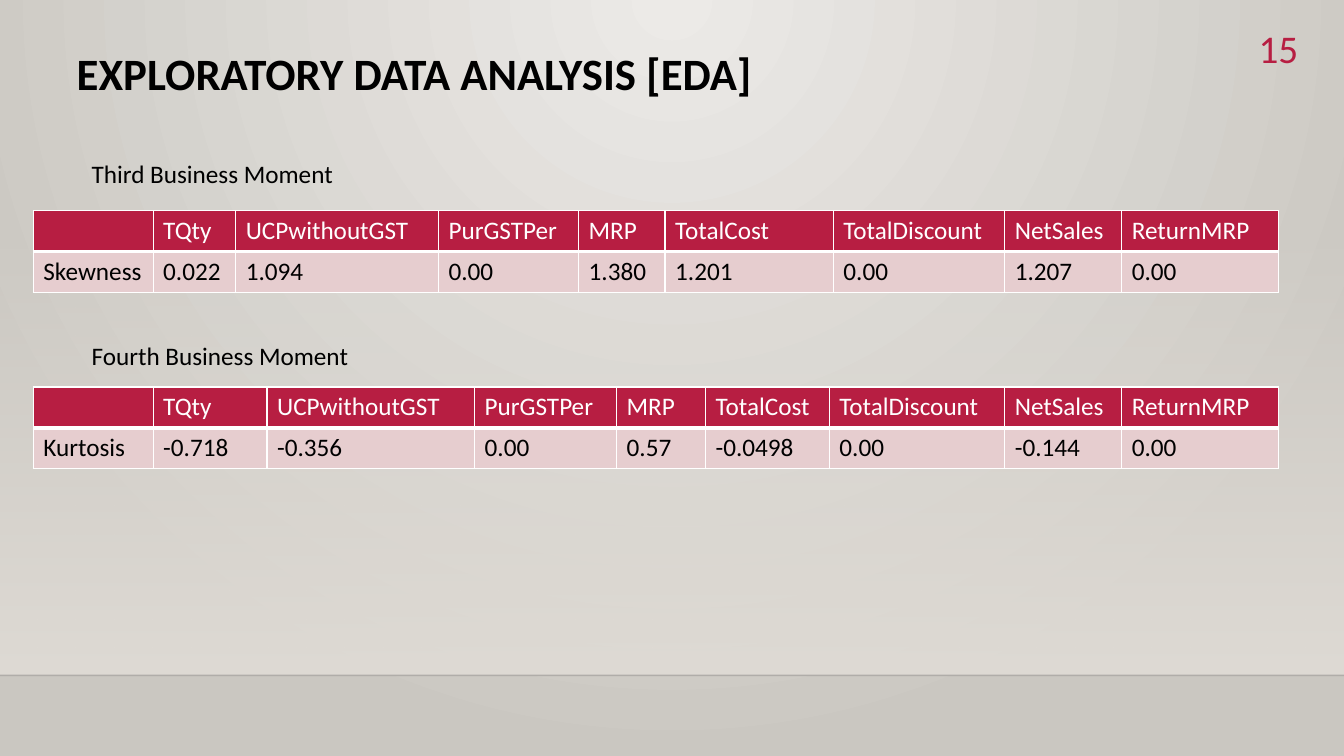
import pptx
import pptx.util
import pptx.dml.color
import pptx.enum.shapes
import pptx.enum.text
import pptx.oxml
import pptx.oxml.ns
from pptx.util import Cm

qn = pptx.oxml.ns.qn
NS = pptx.oxml.ns.nsdecls("a")


def rgb(value):
    return pptx.dml.color.RGBColor.from_string(value)


def add_run(p, text, size, color, bold=False):
    r = p.add_run()
    r.text = text
    r.font.name = "Calibri"
    r.font.size = pptx.util.Pt(size)
    r.font.bold = bold
    r.font.color.rgb = rgb(color)


prs = pptx.Presentation()
prs.slide_width, prs.slide_height = Cm(33.87), Cm(19.05)
s = prs.slides.add_slide(prs.slide_layouts[5])

# Background: light glow from the top centre
fill = s.background.fill
fill.gradient()
for stop, color in zip(fill.gradient_stops, ("ECEAE7", "CAC7C1")):
    stop.color.rgb = rgb(color)
grad = s.background._cSld.find(".//" + qn("a:gradFill"))
grad.replace(grad.find(qn("a:lin")), pptx.oxml.parse_xml(
    f'<a:path {NS} path="circle">'
    '<a:fillToRect l="43000" t="0" r="43000" b="100000"/></a:path>'))

# Wall panel fading in towards the floor
sp = s.shapes.add_shape(pptx.enum.shapes.MSO_SHAPE.RECTANGLE,
                        0, Cm(5.61), prs.slide_width, Cm(11.41))
sp.shadow.inherit = False
sp.line.fill.background()
sp.fill.gradient()
sp.fill.gradient_angle = 270
for stop in sp.fill.gradient_stops:
    stop.color.rgb = rgb("DFDBD5")
first_color = sp._element.spPr.find(".//" + qn("a:srgbClr"))
first_color.append(pptx.oxml.parse_xml(f'<a:alpha {NS} val="0"/>'))

# Floor line
line = s.shapes.add_connector(pptx.enum.shapes.MSO_CONNECTOR.STRAIGHT,
                              0, Cm(17.02), prs.slide_width, Cm(17.02))
line.line.width = pptx.util.Pt(1)
line.line.color.rgb = rgb("000001")
line_color = line._element.spPr.find(".//" + qn("a:srgbClr"))
line_color.append(pptx.oxml.parse_xml(f'<a:alpha {NS} val="20000"/>'))
line._element.spPr.append(pptx.oxml.parse_xml(f"<a:effectLst {NS}/>"))

# Title
title = s.shapes.title
title.left, title.top, title.width, title.height = Cm(1.68), Cm(1.19), Cm(22.89), Cm(2.26)
tf = title.text_frame
tf.vertical_anchor = pptx.enum.text.MSO_ANCHOR.TOP
p = tf.paragraphs[0]
p.alignment = pptx.enum.text.PP_ALIGN.LEFT
p.line_spacing = 0.9
add_run(p, "EXPLORATORY DATA ANALYSIS [EDA]", 32, "000000", bold=True)

# Page number and section labels
right, left = pptx.enum.text.PP_ALIGN.RIGHT, pptx.enum.text.PP_ALIGN.LEFT
for text, x, y, w, h, size, color, align in [
    ("15", 30.71, 0.48, 2.26, 1.4, 28, "B71E42", right),
    ("Third Business Moment", 2.06, 3.86, 12.67, 1.03, 18, "000000", left),
    ("Fourth Business Moment", 2.06, 8.46, 9.27, 1.03, 18, "000000", left),
]:
    tf = s.shapes.add_textbox(Cm(x), Cm(y), Cm(w), Cm(h)).text_frame
    tf.word_wrap = True
    p = tf.paragraphs[0]
    p.alignment = align
    add_run(p, text, size, color)

# Tables: one header row and one row of values each
header = ["", "TQty", "UCPwithoutGST", "PurGSTPer", "MRP", "TotalCost",
          "TotalDiscount", "NetSales", "ReturnMRP"]
tables = [
    (5.31, [3.02, 2.08, 5.11, 3.53, 2.18, 4.24, 4.32, 2.95, 3.94],
     ["Skewness", "0.022", "1.094", "0.00", "1.380", "1.201", "0.00", "1.207", "0.00"]),
    (9.75, [3.02, 2.87, 5.23, 3.58, 2.24, 3.12, 4.42, 2.95, 3.94],
     ["Kurtosis", "-0.718", "-0.356", "0.00", "0.57", "-0.0498", "0.00", "-0.144", "0.00"]),
]
row_styles = [("B71E42", "FFFFFF"), ("E6CDCF", "000000")]
row_height = 1.03

for top, widths, values in tables:
    table = s.shapes.add_table(2, len(header), Cm(0.84), Cm(top),
                               Cm(sum(widths)), Cm(2 * row_height)).table
    table.horz_banding = False
    for column, width in zip(table.columns, widths):
        column.width = Cm(width)
    for i, (texts, (back, color)) in enumerate(zip((header, values), row_styles)):
        table.rows[i].height = Cm(row_height)
        for j, text in enumerate(texts):
            cell = table.cell(i, j)
            # White borders, thick between header and values
            for side in "LRTB":
                thick = (i, side) in ((0, "B"), (1, "T"))
                cell._tc.get_or_add_tcPr().append(pptx.oxml.parse_xml(
                    f'<a:ln{side} {NS} w="{38100 if thick else 12700}"><a:solidFill>'
                    f'<a:srgbClr val="FFFFFF"/></a:solidFill></a:ln{side}>'))
            cell.fill.solid()
            cell.fill.fore_color.rgb = rgb(back)
            if text:
                add_run(cell.text_frame.paragraphs[0], text, 18, color)

prs.save("out.pptx")
